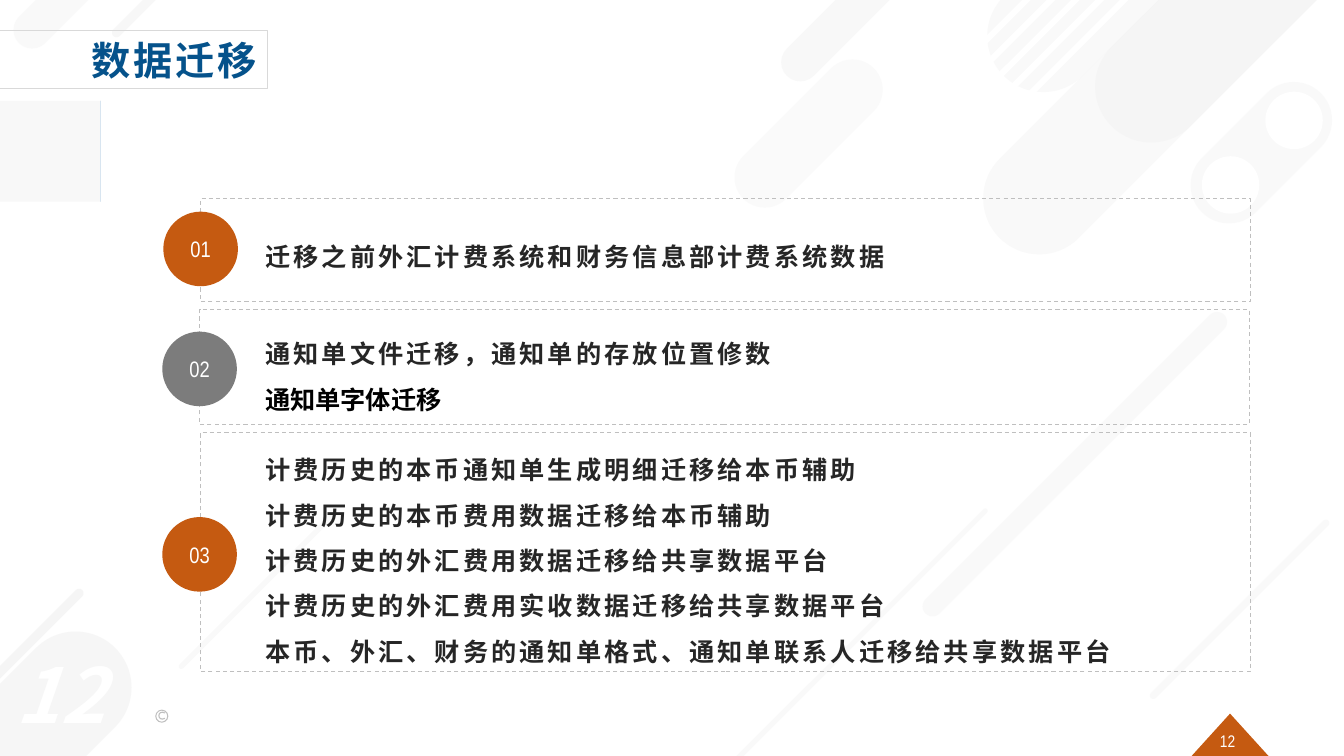
from lxml import etree
from pptx import Presentation
from pptx.dml.color import RGBColor
from pptx.enum.dml import MSO_LINE
from pptx.enum.shapes import MSO_SHAPE
from pptx.enum.text import MSO_ANCHOR, MSO_AUTO_SIZE, PP_ALIGN
from pptx.oxml.ns import qn
from pptx.util import Inches, Pt

COLORS = {
    "white": "FFFFFF", "black": "000000", "text": "262626", "title": "05528B",
    "orange": "C55A11", "grey": "7C7C7C", "pale": "F2F2F2", "frame": "D9D9D9",
    "dash": "BFBFBF", "slate": "334152", "blue": "0061BC",
}
CHINESE, LATIN = "Noto Sans CJK SC", "Arial Narrow"

# Diagonal pills: left, top, width, height, opacity in percent
TOP_PILLS = [
    (11.53, -2.88, 1.11, 6.14, 46), (12.64, -3.99, 1.11, 6.14, 50),
    (11.57, -4.49, 1.11, 6.14, 45), (12.13, 0.68, 0.76, 1.67, 40),
]
OTHER_PILLS = [
    (-0.06, 6.16, 1.11, 1.83, 65), (0.28, 5.65, 0.09, 1.39, 72),
    (2.53, 4.76, 0.05, 2.19, 45), (8.29, 4.44, 0.05, 4.17, 40),
    (10.56, 2.51, 0.2, 4.19, 40), (7.72, 0.41, 0.6, 1.83, 37),
    (8.26, -0.81, 0.38, 1.83, 50), (12.26, 4.8, 0.07, 2.49, 40),
    (1.57, -0.83, 0.09, 1.39, 60), (0.49, -0.75, 0.37, 1.38, 40),
]

# Outlines: a pair is a corner, six numbers are a Bezier curve
RING = [
    (0, 0.46), (0.08, 0.46), (0.2, 0.48, 0.32, 0.52, 0.42, 0.59), (0.56, 0.7),
    (0.67, 0.84), (0.89, 1.17, 0.85, 1.62, 0.56, 1.91), (0, 2.47), (0, 1.95),
    (0.28, 1.67), (0.47, 1.48, 0.47, 1.17, 0.28, 0.98),
    (0.21, 0.91, 0.12, 0.86, 0.03, 0.84), (0, 0.84),
]
SIGN_POST = [
    [(1.09, 1.82), (0.88, 1.81), (0.88, 1.65), (1.1, 1.66), (1.03, 1.74)],
    [(0.77, 1.29), (0.77, 1.27, 0.79, 1.25, 0.81, 1.25),
     (0.83, 1.25, 0.85, 1.27, 0.85, 1.29), (0.85, 1.35), (0.77, 1.35)],
    [(0.85, 1.56), (0.85, 1.95), (0.86, 1.96), (0.89, 1.96),
     (0.91, 1.96, 0.92, 1.97, 0.92, 1.99), (0.92, 2.02), (0.7, 2.02),
     (0.7, 1.99), (0.7, 1.97, 0.71, 1.96, 0.73, 1.96), (0.76, 1.96),
     (0.77, 1.95), (0.77, 1.57)],
    [(0.74, 1.8), (0.58, 1.79), (0.53, 1.71), (0.59, 1.63), (0.74, 1.64)],
]
SIGN_ARM = [(0.54, 1.39), (0.79, 1.38), (1.04, 1.37), (1.11, 1.44),
            (1.05, 1.52), (0.8, 1.54), (0.55, 1.55), (0.6, 1.47)]

# Panels: number, colour, frame left/top/height, disc left/top, text top/height, lines
PANELS = [
    ("01", "orange", (1.99, 1.97, 1.02), (1.62, 2.1), (2.2, 0.48),
     ["迁移之前外汇计费系统和财务信息部计费系统数据"]),
    ("02", "grey", (1.98, 3.07, 1.14), (1.61, 3.29), (3.17, 0.98),
     ["通知单文件迁移，通知单的存放位置修数", "通知单字体迁移"]),
    ("03", "orange", (1.99, 4.29, 2.37), (1.61, 5.13), (4.32, 2.35),
     ["计费历史的本币通知单生成明细迁移给本币辅助",
      "计费历史的本币费用数据迁移给本币辅助",
      "计费历史的外汇费用数据迁移给共享数据平台",
      "计费历史的外汇费用实收数据迁移给共享数据平台",
      "本币、外汇、财务的通知单格式、通知单联系人迁移给共享数据平台"]),
]


def rgb(name):
    return RGBColor.from_string(COLORS[name])


def paint(shape, color, opacity=100):
    shape.shadow.inherit = False
    shape.line.fill.background()
    if color is None:
        shape.fill.background()
        return
    shape.fill.solid()
    shape.fill.fore_color.rgb = rgb(color)
    if opacity < 100:
        tone = shape.element.spPr.find(qn("a:solidFill")).find(qn("a:srgbClr"))
        etree.SubElement(tone, qn("a:alpha"), val=str(opacity * 1000))


def add_preset(page, kind, left, top, width, height, color, opacity=100):
    shape = page.shapes.add_shape(
        kind, Inches(left), Inches(top), Inches(width), Inches(height))
    paint(shape, color, opacity)
    return shape


def add_pill(page, left, top, width, height, color, opacity=100):
    pill = add_preset(page, MSO_SHAPE.ROUNDED_RECTANGLE,
                      left, top, width, height, color, opacity)
    pill.adjustments[0] = 0.5
    pill.rotation = 45


def flatten(outline, steps=12):
    points = [outline[0]]
    for part in outline[1:]:
        if len(part) == 2:
            points.append(part)
            continue
        x0, y0 = points[-1]
        x1, y1, x2, y2, x3, y3 = part
        for step in range(1, steps + 1):
            t = step / steps
            a, b, c, d = (1 - t) ** 3, 3 * t * (1 - t) ** 2, 3 * t * t * (1 - t), t ** 3
            points.append((a * x0 + b * x1 + c * x2 + d * x3,
                           a * y0 + b * y1 + c * y2 + d * y3))
    return points


def add_outline(page, outlines, color, opacity=100):
    contours = [flatten(outline) for outline in outlines]
    builder = page.shapes.build_freeform(*contours[0][0], scale=Inches(1))
    for index, points in enumerate(contours):
        if index:
            builder.move_to(*points[0])
        builder.add_line_segments(points[1:], close=True)
    paint(builder.convert_to_shape(), color, opacity)


def style(para, font, size, color, bold=False, spacing=0, align=PP_ALIGN.LEFT):
    para.alignment = align
    for span in para.runs:
        span.font.size, span.font.bold = Pt(size), bold
        span.font.color.rgb = rgb(color)
        span.font.name = font
        properties = span.font._element
        etree.SubElement(properties, qn("a:ea"), typeface=font)
        properties.set("spc", str(round(spacing * 100)))


def add_text(page, left, top, width, height, lines):
    box = page.shapes.add_textbox(
        Inches(left), Inches(top), Inches(width), Inches(height))
    box.text_frame.word_wrap = True
    box.text_frame.text = "\n".join(lines)
    return box.text_frame


def add_background(page):
    add_preset(page, MSO_SHAPE.ISOSCELES_TRIANGLE, 11.81, 7.08, 0.78, 0.43, "orange")
    frame = add_text(page, 11.78, 7.21, 0.57, 0.28, ["12"])
    frame.vertical_anchor = MSO_ANCHOR.MIDDLE
    style(frame.paragraphs[0], LATIN, 12, "white", align=PP_ALIGN.RIGHT)

    add_outline(page, [RING], "pale", 50)
    for *place, opacity in TOP_PILLS:
        add_pill(page, *place, "pale", opacity)
    for left, top in [(12.55, 0.91), (11.92, 1.55)]:
        add_preset(page, MSO_SHAPE.OVAL, left, top, 0.57, 0.57, "white")
    for index in range(5):
        add_pill(page, 9.69 + 0.2425 * index, -2.39, 0.06, 5.7, "white")

    # Copyright sign
    ring = add_preset(page, MSO_SHAPE.DONUT, 1.54, 7.04, 0.13, 0.13, "dash")
    ring.adjustments[0] = 0.08
    letter = add_preset(page, MSO_SHAPE.BLOCK_ARC, 1.57, 7.06, 0.08, 0.08, "dash")
    for index, value in enumerate([27, 189, 0.14]):
        letter.adjustments[index] = value

    for *place, opacity in OTHER_PILLS:
        add_pill(page, *place, "pale", opacity)

    # Large page number
    frame = add_text(page, 0.05, 6.38, 1.1, 1, ["12"])
    frame.word_wrap = False
    frame.vertical_anchor = MSO_ANCHOR.MIDDLE
    para = frame.paragraphs[0]
    style(para, CHINESE, 54, "white", bold=True, align=PP_ALIGN.CENTER)
    para.runs[0].font.italic = True


def add_title(page, words):
    title = page.shapes.title
    title.left, title.top = Inches(-1.13), Inches(0.3)
    title.width, title.height = Inches(3.78), Inches(0.58)
    title.line.color.rgb = rgb("frame")
    title.line.width = Pt(0.75)
    frame = title.text_frame
    frame.text = words
    frame.auto_size = MSO_AUTO_SIZE.NONE
    frame.vertical_anchor = MSO_ANCHOR.BOTTOM
    style(frame.paragraphs[0], CHINESE, 28, "title", True, 2.2, PP_ALIGN.RIGHT)
    # Bring the title in front of the background
    title.element.getparent().append(title.element)


def add_panel(page, number, color, outline, disc_place, text_place, lines):
    left, top, height = outline
    border = add_preset(page, MSO_SHAPE.RECTANGLE, left, top, 10.41, height, None)
    border.line.color.rgb = rgb("dash")
    border.line.width = Pt(0.75)
    border.line.dash_style = MSO_LINE.DASH

    disc = add_preset(page, MSO_SHAPE.OVAL, *disc_place, 0.74, 0.74, color)
    disc.text_frame.text = number
    disc.text_frame.vertical_anchor = MSO_ANCHOR.MIDDLE
    style(disc.text_frame.paragraphs[0], LATIN, 16, "white", align=PP_ALIGN.CENTER)

    text_top, text_height = text_place
    frame = add_text(page, 2.56, text_top, 9.61, text_height, lines)
    frame.auto_size = MSO_AUTO_SIZE.SHAPE_TO_FIT_TEXT
    frame.margin_left = frame.margin_right = Inches(0.07)
    frame.margin_top = frame.margin_bottom = Inches(0.04)
    for para in frame.paragraphs:
        plain = para.text == "通知单字体迁移"
        para.line_spacing = 1.5
        style(para, CHINESE, 18, "black" if plain else "text", True, 0 if plain else 2.2)


def main():
    deck = Presentation()
    deck.slide_width, deck.slide_height = Inches(13.33), Inches(7.5)
    page = deck.slides.add_slide(deck.slide_layouts[5])
    add_background(page)
    add_title(page, "数据迁移")
    # Signpost icon
    add_outline(page, SIGN_POST, "slate")
    add_outline(page, [SIGN_ARM], "blue")
    for panel in PANELS:
        add_panel(page, *panel)
    deck.save("out.pptx")


if __name__ == "__main__":
    main()
